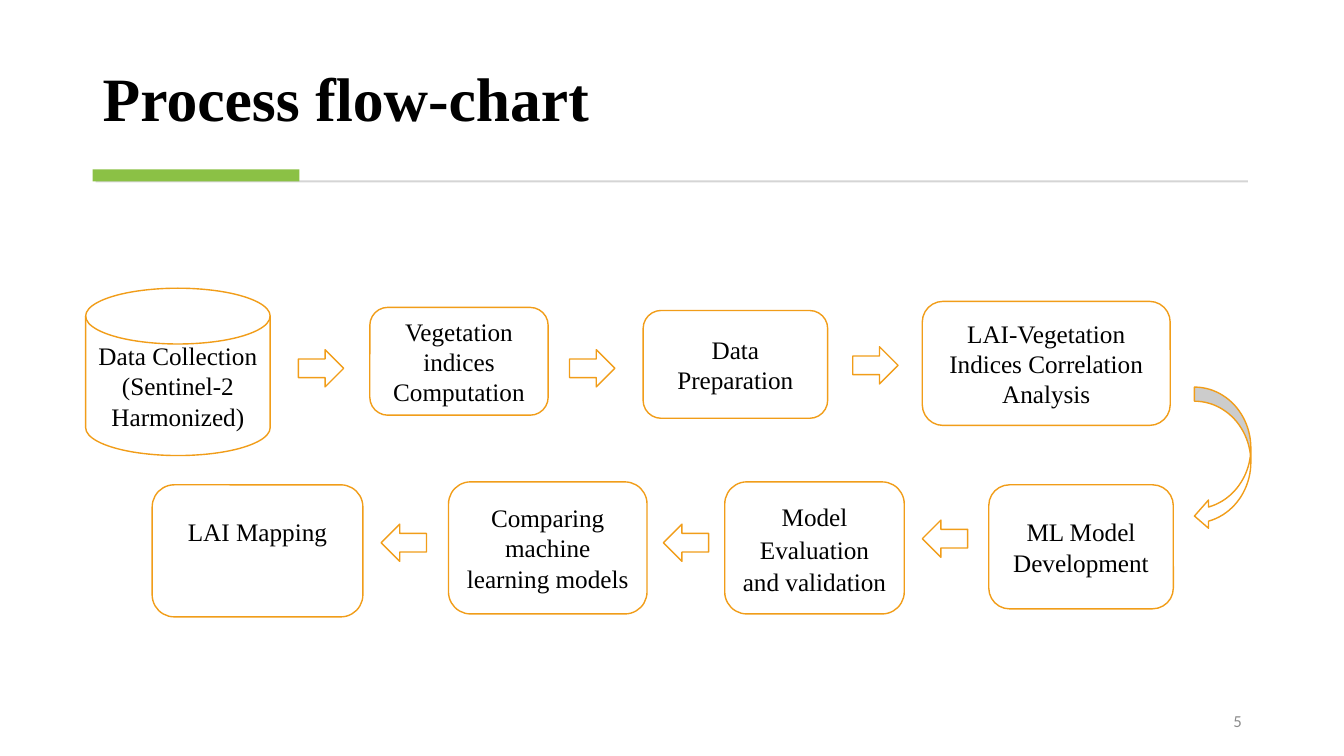
from lxml import etree
from pptx import Presentation
from pptx.dml.color import RGBColor
from pptx.enum.shapes import MSO_SHAPE
from pptx.enum.text import MSO_ANCHOR, MSO_AUTO_SIZE, PP_ALIGN
from pptx.oxml.ns import qn
from pptx.util import Pt

SERIF = "Times New Roman"
ORANGE, GREEN, GREY, WHITE, BLACK = "F19D19", "8BC145", "D5D5D5", "FFFFFF", "000000"
ROUND, DISK = MSO_SHAPE.ROUNDED_RECTANGLE, MSO_SHAPE.FLOWCHART_MAGNETIC_DISK
ARROW_SIZE = (32.4, 26.6)

# Steps: shape, box relative to the chart, text, line spacing, extra space below
STEPS = [
    (DISK, (0, 0, 131.8, 119.5), "Data Collection (Sentinel-2 Harmonized)", 1, 0),
    (ROUND, (203, 13.7, 127.4, 77), "Vegetation indices Computation", 1, 0),
    (ROUND, (398.2, 15.9, 131.8, 77), "Data Preparation", 1, 0),
    (ROUND, (597.6, 9.4, 177.1, 88.6), "LAI-Vegetation Indices Correlation Analysis", 1, 0),
    (ROUND, (645.1, 140.4, 131.8, 88.6), "ML Model Development", 1, 0),
    (ROUND, (456.5, 138.3, 128.2, 94.3), "Model Evaluation and validation", 1.07, 0),
    (ROUND, (259.2, 138.3, 141.8, 94.3), "Comparing machine learning models", 1, 0),
    (ROUND, (47.5, 140.4, 150.5, 94.3), "LAI Mapping", 1, 27),
]
ARROWS = [
    (MSO_SHAPE.RIGHT_ARROW, [(151.9, 43.9), (345.6, 43.9), (547.9, 41.8)]),
    (MSO_SHAPE.LEFT_ARROW, [(597.6, 165.6), (412.6, 168.5), (211, 168.5)]),
]


def color(hex_value):
    return RGBColor.from_string(hex_value)


def add_block(slide, kind, box, fill, line=None):
    sp = slide.shapes.add_shape(kind, *[Pt(v) for v in box])
    sp.shadow.inherit = False
    sp.fill.solid()
    sp.fill.fore_color.rgb = color(fill)
    if line:
        sp.line.color.rgb = color(line)
        sp.line.width = Pt(1)
    else:
        sp.line.fill.background()
    return sp


def set_font(p, name, size, hex_value, bold=False):
    p.font.name, p.font.size, p.font.bold = name, Pt(size), bold
    p.font.color.rgb = color(hex_value)


def add_header(slide, box, text):
    left, top, width, height = box
    # Title
    sp = slide.shapes.title
    sp.left, sp.top, sp.width, sp.height = [Pt(v) for v in box]
    tf = sp.text_frame
    tf.text = text
    tf.auto_size = MSO_AUTO_SIZE.NONE
    tf.vertical_anchor = MSO_ANCHOR.BOTTOM
    p = tf.paragraphs[0]
    p.alignment, p.line_spacing, p.space_after = PP_ALIGN.LEFT, 0.9, Pt(6)
    set_font(p, SERIF, 44, BLACK, True)
    # Rule and accent bar
    below = top + height
    add_block(slide, MSO_SHAPE.RECTANGLE, (left + 2.2, below + 28.8, width - 4.3, 1.4), GREY)
    add_block(slide, MSO_SHAPE.RECTANGLE, (left, below + 20.9, 147.6, 8.6), GREEN)


def add_flow_chart(slide, left, top):
    def place(kind, box):
        x, y, width, height = box
        return add_block(slide, kind, (left + x, top + y, width, height), WHITE, ORANGE)

    # Steps
    for kind, box, text, spacing, space_below in STEPS:
        tf = place(kind, box).text_frame
        tf.text = text
        tf.word_wrap = True
        tf.vertical_anchor = MSO_ANCHOR.MIDDLE
        tf.margin_bottom = Pt(3.6 + space_below)
        p = tf.paragraphs[0]
        p.alignment, p.line_spacing = PP_ALIGN.CENTER, spacing
        p.space_after = Pt(6 if spacing == 1 else 8)
        set_font(p, SERIF, 18, BLACK)
    # Arrows along each row, then the turn between the rows
    for kind, corners in ARROWS:
        for corner in corners:
            place(kind, corner + ARROW_SIZE)
    place(MSO_SHAPE.CURVED_LEFT_ARROW, (792, 70.6, 40.3, 102.2))


def add_slide_number(slide, box, number):
    tf = slide.shapes.add_textbox(*[Pt(v) for v in box]).text_frame
    tf.word_wrap = True
    tf.vertical_anchor = MSO_ANCHOR.MIDDLE
    p = tf.paragraphs[0]
    p.alignment = PP_ALIGN.RIGHT
    r = p.add_run()
    r.text = str(number)
    r.font.name, r.font.size = "Calibri", Pt(12)
    r.font.color.rgb = color("8C8C8C")


def main():
    prs = Presentation()
    prs.slide_width, prs.slide_height = Pt(960), Pt(540)
    slide = prs.slides.add_slide(prs.slide_layouts[5])
    add_header(slide, (66.2, 20.2, 827.3, 79.9), "Process flow-chart")
    add_flow_chart(slide, 61.2, 205.9)
    add_slide_number(slide, (678.2, 500.4, 216, 28.8), 5)
    prs.save("out.pptx")


if __name__ == "__main__":
    main()
